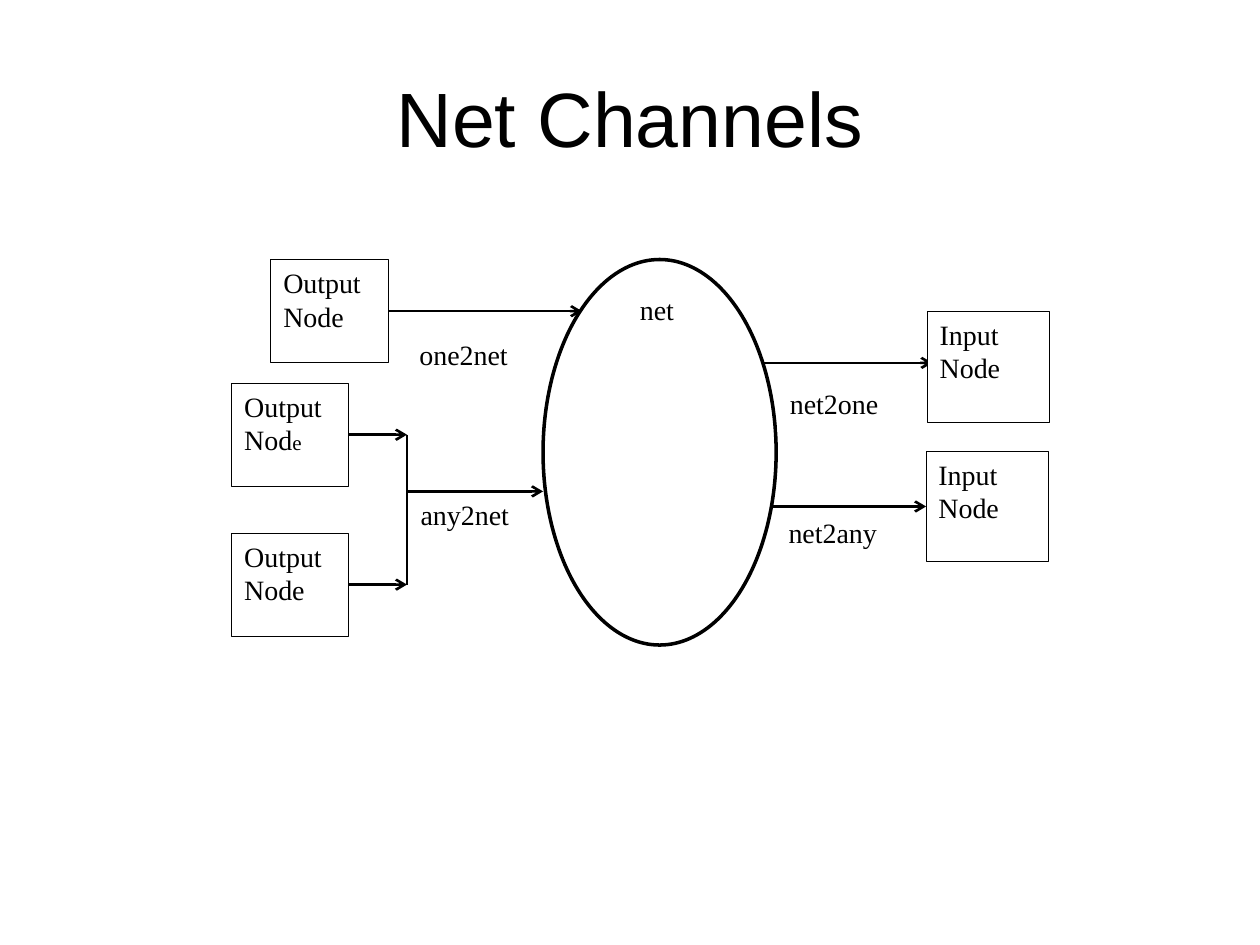
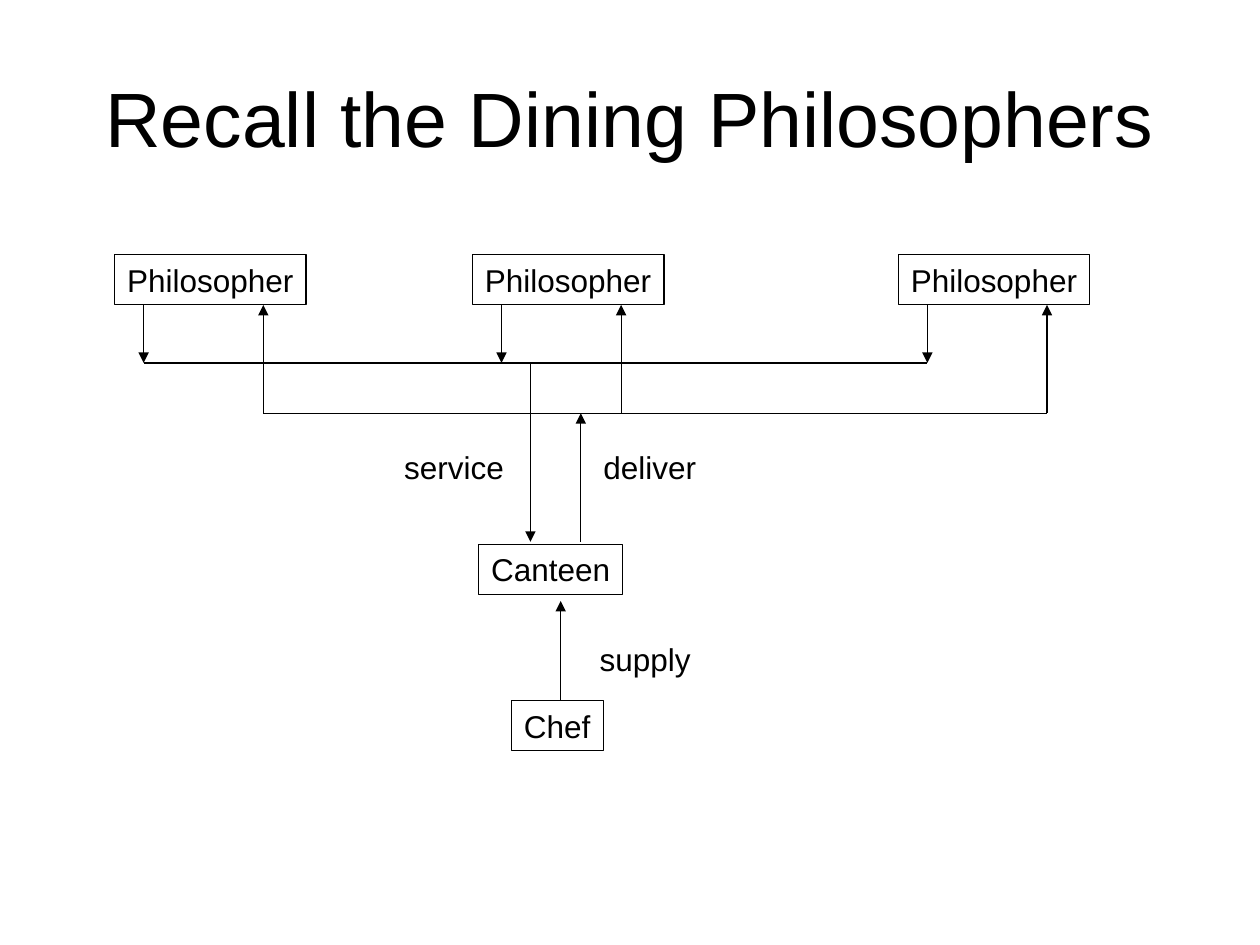
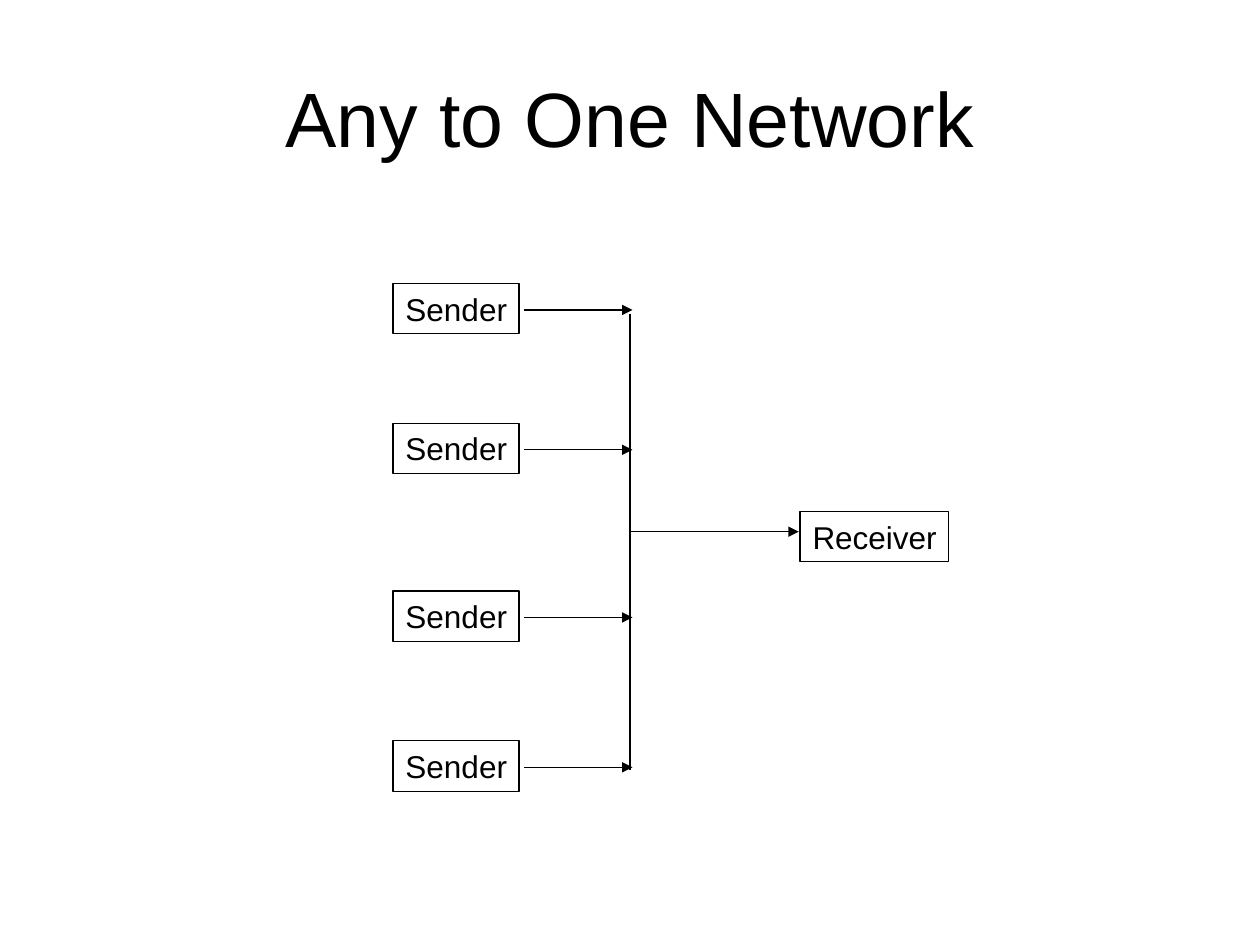
from lxml.etree import SubElement
from pptx import Presentation
from pptx.dml.color import RGBColor as RGB
from pptx.enum.shapes import MSO_CONNECTOR as CONN, MSO_SHAPE as SHAPE
from pptx.enum.text import MSO_ANCHOR as ANCHOR, MSO_AUTO_SIZE as AUTO, PP_ALIGN as ALIGN
from pptx.oxml.ns import qn
from pptx.util import Inches, Pt

COLORS = {"ink": "000000", "paper": "FFFFFF"}
TITLE = {"name": "Arial", "size": Pt(44)}
SANS = {"name": "Arial", "size": Pt(18)}
SERIF = {"name": "Times New Roman", "size": Pt(16)}
LEFT, RIGHT = 1, 3

# Net Channels
CLOUD = (4.31, 2.06, 1.85, 3.06)
NET_LABELS = [
    ("net", (4.98, 2.27, 0.51, 0.41)),
    ("any2net", (3.24, 3.9, 0.99, 0.34)),
    ("one2net", (3.23, 2.63, 1.08, 0.41)),
    ("net2any", (6.16, 4.04, 1.09, 0.61)),
    ("net2one", (6.17, 3.02, 1.08, 0.41)),
]
NODES = {
    "one": ("Output\nNode", (2.15, 2.06, 0.93, 0.82)),
    "any1": ("Output\nNod", (1.84, 3.04, 0.93, 0.82)),
    "any2": ("Output\nNode", (1.84, 4.23, 0.93, 0.82)),
    "in1": ("Input\nNode", (7.36, 2.47, 0.97, 0.88)),
    "in2": ("Input\nNode", (7.35, 3.58, 0.97, 0.88)),
}
SMALL_END = {"any1": "e"}
ANY_X = 3.23
FREE_WIRES = [
    ((ANY_X, 3.9), (4.31, 3.9), "arrow"),
    ((6.05, 2.88), (7.4, 2.88), "arrow"),
    ((ANY_X, 3.45), (ANY_X, 4.64), None),
]
OUT_WIRES = [("one", (4.62, 2.47)), ("any1", (ANY_X, 3.45)), ("any2", (ANY_X, 4.64))]

# Dining Philosophers
SEATS = [0.91, 3.75, 7.13]
SEAT_TOP, SEAT_W, BOX_H = 2.02, 1.52, 0.4
ASK_DX, GET_DX = 0.23, 1.18
ASK_Y, GET_Y, CANTEEN_Y = 2.88, 3.28, 4.3
KITCHEN = [("Canteen", (3.8, 4.32, 1.14, BOX_H)), ("Chef", (4.06, 5.56, 0.73, BOX_H))]
DINING_LABELS = [
    ("supply", (4.66, 5.03, 0.92, BOX_H)),
    ("service", (3.11, 3.51, 0.99, BOX_H)),
    ("deliver", (4.69, 3.51, 0.93, BOX_H)),
]

# Any to One
SENDERS = [2.25, 3.36, 4.69, 5.88]
SENDER_X, SENDER_W, SEND_DY = 3.12, 1, 0.21
BUS_X, BUS_Y = 5, (2.49, 6.11)
RECEIVER = (6.35, 4.06, 1.18, BOX_H)


def ink(font, style):
    for key, value in style.items():
        setattr(font, key, value)
    font.color.rgb = RGB.from_string(COLORS["ink"])


def edge(line, width):
    line.color.rgb = RGB.from_string(COLORS["ink"])
    line.width = Pt(width)


def start(deck, title):
    """Add a title-only slide and style its title."""
    slide = deck.slides.add_slide(deck.slide_layouts[5])
    head = slide.shapes.title
    head.left, head.top, head.width, head.height = map(Inches, (0.5, 0.3, 9, 1.25))
    frame = head.text_frame
    frame.text = title
    frame.auto_size, frame.vertical_anchor = AUTO.NONE, ANCHOR.MIDDLE
    para = frame.paragraphs[0]
    para.alignment = ALIGN.CENTER
    ink(para.runs[0].font, TITLE)
    return slide


def write(shape, text, style):
    """Set left-aligned text, with no right inset so that snug boxes keep one line."""
    frame = shape.text_frame
    frame.text = text
    frame.word_wrap, frame.auto_size = True, AUTO.NONE
    frame.vertical_anchor, frame.margin_right = ANCHOR.TOP, 0
    for para in frame.paragraphs:
        para.alignment = ALIGN.LEFT
        ink(para.runs[0].font, style)
    return frame


def outline(slide, kind, at, width, fill=None):
    shape = slide.shapes.add_shape(kind, *map(Inches, at))
    shape.shadow.inherit = False
    if fill:
        shape.fill.solid()
        shape.fill.fore_color.rgb = RGB.from_string(COLORS[fill])
    else:
        shape.fill.background()
    if width:
        edge(shape.line, width)
    else:
        shape.line.fill.background()
    return shape


def box(slide, text, at):
    write(outline(slide, SHAPE.RECTANGLE, at, 0.75), text, SANS)


def wire(slide, begin, end, tip="triangle", width=0.75):
    line = slide.shapes.add_connector(CONN.STRAIGHT, *map(Inches, (*begin, *end)))
    edge(line.line, width)
    if tip:
        SubElement(line.line._get_or_add_ln(), qn("a:tailEnd"), type=tip)
    SubElement(line._element.spPr, qn("a:effectLst"))
    return line


def draw_channels(deck):
    slide = start(deck, "Net Channels")
    outline(slide, SHAPE.OVAL, CLOUD, 2)
    for text, at in NET_LABELS:
        write(outline(slide, SHAPE.RECTANGLE, at, None, "paper"), text, SERIF)
    for begin, end, tip in FREE_WIRES:
        wire(slide, begin, end, tip, 1.5)
    nodes = {}
    for key, (text, at) in NODES.items():
        nodes[key] = outline(slide, SHAPE.RECTANGLE, at, 0.5, "paper")
        frame = write(nodes[key], text, SERIF)
        if key in SMALL_END:
            run = frame.paragraphs[-1].add_run()
            run.text = SMALL_END[key]
            ink(run.font, {**SERIF, "size": Pt(12)})
    for key, end in OUT_WIRES:
        wire(slide, end, end, "arrow", 1.5).begin_connect(nodes[key], RIGHT)
    wire(slide, (6.12, 4.02), (7.35, 4.02), "arrow", 1.5).end_connect(nodes["in2"], LEFT)


def draw_dining(deck):
    slide = start(deck, "Recall the Dining Philosophers")
    for text, at in KITCHEN:
        box(slide, text, at)
    base = SEAT_TOP + BOX_H
    for x in SEATS:
        box(slide, "Philosopher", (x, SEAT_TOP, SEAT_W, BOX_H))
        wire(slide, (x + ASK_DX, base), (x + ASK_DX, ASK_Y))
        wire(slide, (x + GET_DX, GET_Y), (x + GET_DX, base))
    for dx, y in ((ASK_DX, ASK_Y), (GET_DX, GET_Y)):
        wire(slide, (SEATS[0] + dx, y), (SEATS[-1] + dx, y), None)
    for x, begin, end in ((4.45, 5.56, 4.77), (4.61, CANTEEN_Y, GET_Y), (4.21, ASK_Y, CANTEEN_Y)):
        wire(slide, (x, begin), (x, end))
    for text, at in DINING_LABELS:
        write(slide.shapes.add_textbox(*map(Inches, at)), text, SANS)


def draw_network(deck):
    slide = start(deck, "Any to One Network")
    for top in SENDERS:
        box(slide, "Sender", (SENDER_X, top, SENDER_W, BOX_H))
        wire(slide, (4.16, top + SEND_DY), (5.02, top + SEND_DY))
    wire(slide, (BUS_X, BUS_Y[0]), (BUS_X, BUS_Y[1]), None)
    wire(slide, (BUS_X, 4.22), (6.34, 4.22))
    box(slide, "Receiver", RECEIVER)


def main():
    deck = Presentation()
    deck.slide_width, deck.slide_height = Inches(10), Inches(7.5)
    for draw in (draw_channels, draw_dining, draw_network):
        draw(deck)
    deck.save("out.pptx")


if __name__ == "__main__":
    main()
